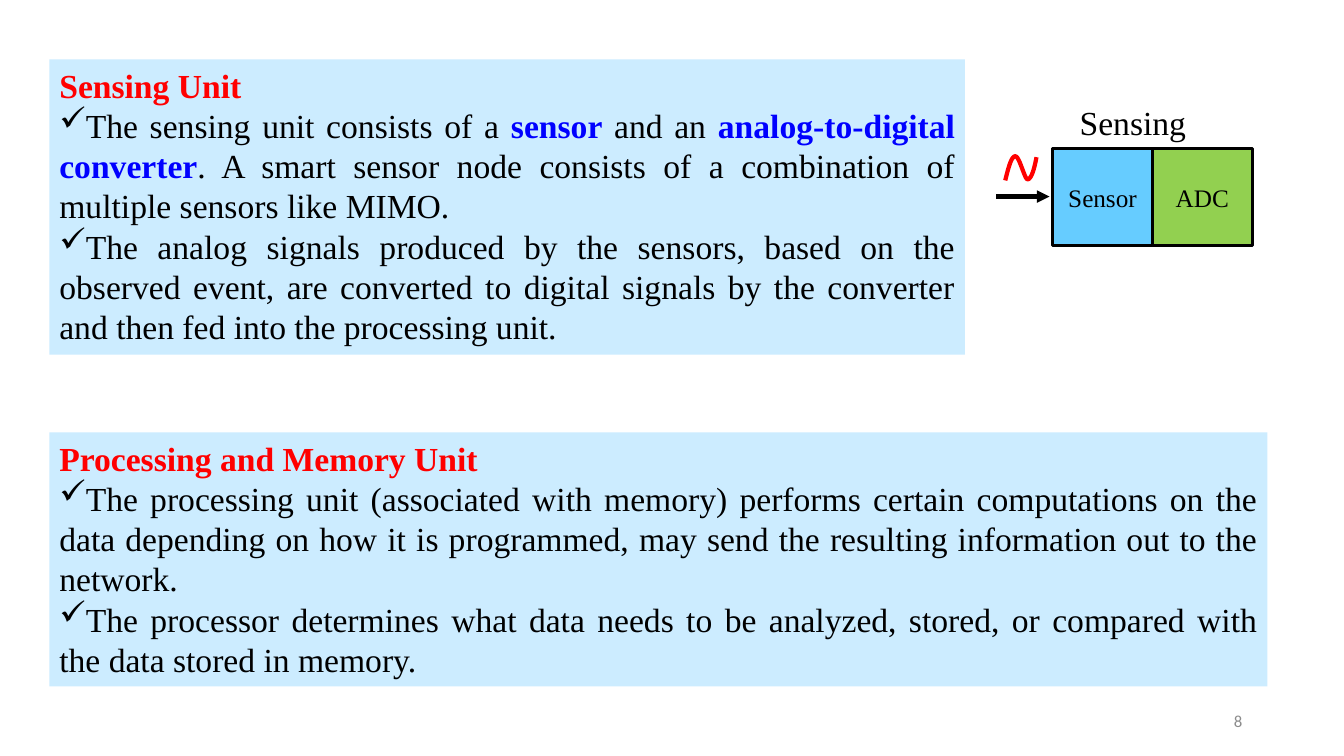
from dataclasses import dataclass
from lxml.etree import SubElement
from pptx import Presentation
from pptx.dml.color import RGBColor
from pptx.enum.shapes import MSO_CONNECTOR, MSO_SHAPE
from pptx.enum.text import MSO_ANCHOR, PP_ALIGN
from pptx.oxml.ns import qn
from pptx.util import Inches, Pt


@dataclass(frozen=True)
class Theme:
    panel: RGBColor = RGBColor.from_string("CCECFF")
    sensor: RGBColor = RGBColor.from_string("66CCFF")
    adc: RGBColor = RGBColor.from_string("92D050")
    red: RGBColor = RGBColor.from_string("FF0000")
    blue: RGBColor = RGBColor.from_string("0000FF")
    black: RGBColor = RGBColor.from_string("000000")
    grey: RGBColor = RGBColor.from_string("8C8C8C")
    body: Pt = Pt(24)
    block: Pt = Pt(18)
    number: Pt = Pt(12)
    serif: str = "Times New Roman"
    sans: str = "Calibri"


theme = Theme()


def add_span(para, text, size, color, bold=False, name=theme.serif):
    span = para.add_run()
    span.text = text
    span.font.size, span.font.bold, span.font.name = size, bold, name
    span.font.color.rgb = color


def add_box(left, top, width, height, fill):
    box = page.shapes.add_shape(MSO_SHAPE.RECTANGLE, Inches(left), Inches(top),
                                Inches(width), Inches(height))
    box.shadow.inherit = False
    box.fill.solid()
    box.fill.fore_color.rgb = fill
    box.text_frame.word_wrap = True
    return box


deck = Presentation()
deck.slide_width, deck.slide_height = Inches(13.33), Inches(7.5)
page = deck.slides.add_slide(deck.slide_layouts[6])

# Text panels: the spans at odd places in a bullet are key terms
panels = [
    (0.59, 9.08, 2.93, "Sensing Unit", [
        ["The sensing unit consists of a ", "sensor", " and an ",
         "analog-to-digital converter",
         ". A smart sensor node consists of a combination of multiple sensors like MIMO. "],
        ["The analog signals produced by the sensors, based on the observed event, "
         "are converted to digital signals by the converter and then fed into the "
         "processing unit. "],
    ]),
    (4.29, 12.08, 2.52, "Processing and Memory Unit", [
        ["The processing unit (associated with memory) performs certain computations "
         "on the data depending on how it is programmed, may send the resulting "
         "information out to the network. "],
        ["The processor determines what data needs to be analyzed, stored, or compared "
         "with the data stored in memory. "],
    ]),
]
for top, width, height, heading, bullets in panels:
    panel = add_box(0.49, top, width, height, theme.panel)
    panel.line.fill.background()
    frame = panel.text_frame
    frame.vertical_anchor = MSO_ANCHOR.TOP
    para = frame.paragraphs[0]
    para.alignment = PP_ALIGN.JUSTIFY
    add_span(para, heading, theme.body, theme.red, bold=True)
    for pieces in bullets:
        para = frame.add_paragraph()
        para.alignment = PP_ALIGN.JUSTIFY
        SubElement(para._p.get_or_add_pPr(), qn("a:buChar")).set("char", "✓")
        for place, piece in enumerate(pieces):
            key = place % 2 == 1
            add_span(para, piece, theme.body, theme.blue if key else theme.black, key)

# Sensor and converter blocks
block_width = 0.99
for column, (label, fill) in enumerate([("Sensor", theme.sensor), ("ADC", theme.adc)]):
    block = add_box(10.44 + column * block_width, 1.47, block_width, 0.97, fill)
    block.line.color.rgb = theme.black
    block.line.width = Pt(2.25)
    block.text_frame.vertical_anchor = MSO_ANCHOR.MIDDLE
    para = block.text_frame.paragraphs[0]
    para.alignment = PP_ALIGN.CENTER
    add_span(para, label, theme.block, theme.black)

# Input arrow
arrow = page.shapes.add_connector(MSO_CONNECTOR.STRAIGHT, Inches(9.88), Inches(1.95),
                                  Inches(10.41), Inches(1.95))
arrow.line.color.rgb = theme.black
arrow.line.width = Pt(3)
SubElement(arrow.line._get_or_add_ln(), qn("a:tailEnd")).set("type", "triangle")
SubElement(arrow._element.spPr, qn("a:effectLst"))

# Analog wave, drawn as points along three Bezier curves
wave_start = (9.97, 1.79)
wave_curves = [
    [(10.00, 1.67), (10.03, 1.55), (10.07, 1.55)],
    [(10.11, 1.55), (10.16, 1.77), (10.19, 1.78)],
    [(10.23, 1.78), (10.26, 1.67), (10.28, 1.56)],
]
steps = 12
points = []
start = wave_start
for first, second, end in wave_curves:
    for step in range(1, steps + 1):
        t = step / steps
        weights = ((1 - t) ** 3, 3 * t * (1 - t) ** 2, 3 * t ** 2 * (1 - t), t ** 3)
        corners = (start, first, second, end)
        points.append(tuple(Inches(sum(w * c[axis] for w, c in zip(weights, corners)))
                            for axis in (0, 1)))
    start = end
builder = page.shapes.build_freeform(Inches(wave_start[0]), Inches(wave_start[1]))
builder.add_line_segments(points, close=False)
wave = builder.convert_to_shape()
wave.shadow.inherit = False
wave.fill.background()
wave.line.color.rgb = theme.red
wave.line.width = Pt(3)

# Diagram caption and slide number
labels = [
    (10.61, 0.96, 1.52, 0.5, "Sensing", theme.body, theme.black, theme.serif,
     PP_ALIGN.LEFT, MSO_ANCHOR.TOP),
    (9.42, 6.95, 3, 0.4, "8", theme.number, theme.grey, theme.sans,
     PP_ALIGN.RIGHT, MSO_ANCHOR.MIDDLE),
]
for left, top, width, height, text, size, color, name, alignment, anchor in labels:
    box = page.shapes.add_textbox(Inches(left), Inches(top), Inches(width), Inches(height))
    box.text_frame.word_wrap = True
    box.text_frame.vertical_anchor = anchor
    para = box.text_frame.paragraphs[0]
    para.alignment = alignment
    add_span(para, text, size, color, name=name)

deck.save("out.pptx")
